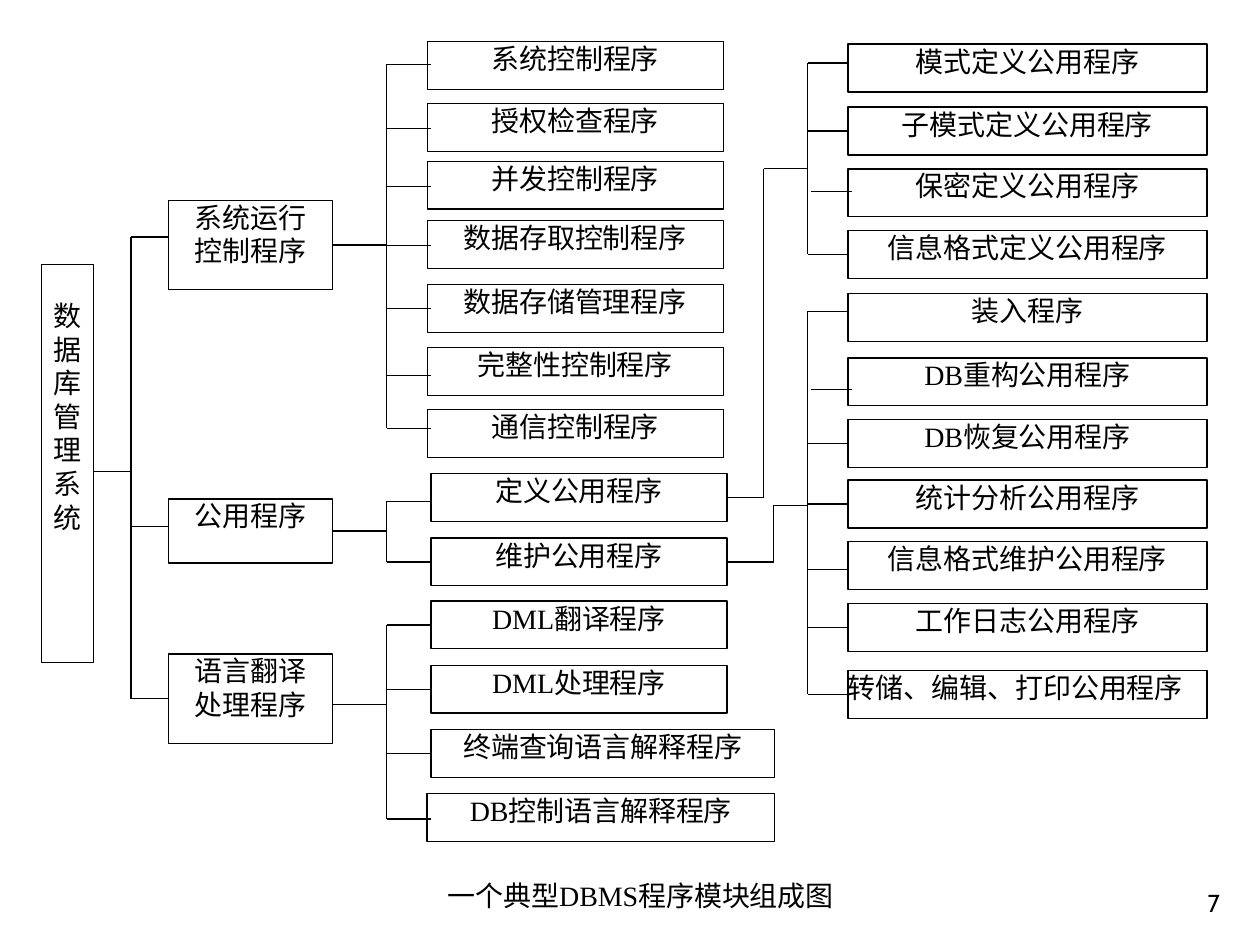
from lxml import etree
from pptx import Presentation
from pptx.dml.color import RGBColor
from pptx.enum.shapes import MSO_CONNECTOR, MSO_SHAPE
from pptx.enum.text import MSO_ANCHOR, PP_ALIGN
from pptx.oxml.ns import qn
from pptx.util import Inches, Pt

RECTANGLE, STRAIGHT = MSO_SHAPE.RECTANGLE, MSO_CONNECTOR.STRAIGHT
TOP, BOTTOM = MSO_ANCHOR.TOP, MSO_ANCHOR.BOTTOM
CENTER, RIGHT, JUSTIFY = PP_ALIGN.CENTER, PP_ALIGN.RIGHT, PP_ALIGN.JUSTIFY
LEFT_SIDE, RIGHT_SIDE = 1, 3

THEME = {
    "ink": RGBColor(0, 0, 0),
    "rule": Pt(0.75),
    "body": ("Times New Roman", Pt(16)),
    "folio": ("Cabin", Pt(14)),
}

deck = Presentation()
deck.slide_width, deck.slide_height = Inches(10), Inches(7.5)
COL, ROW = deck.slide_width // 1000, deck.slide_height // 750
NEAR = 2
slide = deck.slides.add_slide(deck.slide_layouts[6])
diagram = slide.shapes.add_group_shape().shapes


def write(holder, text, style="body", align=CENTER, anchor=TOP, inset=(0, 0)):
    frame = holder.text_frame
    frame.text = text
    frame.word_wrap = True
    frame.vertical_anchor = anchor
    frame.margin_left = frame.margin_right = inset[0] * COL
    frame.margin_top = frame.margin_bottom = inset[1] * ROW
    for paragraph in frame.paragraphs:
        paragraph.alignment = align
        for run in paragraph.runs:
            run.font.name, run.font.size = THEME[style]
            run.font.color.rgb = THEME["ink"]


def link(start_col, start_row, end_col, end_row, source=None, target=None):
    line = diagram.add_connector(STRAIGHT, int(start_col * COL), int(start_row * ROW),
                                 int(end_col * COL), int(end_row * ROW))
    line.line.color.rgb = THEME["ink"]
    line.line.width = THEME["rule"]
    etree.SubElement(line._element.spPr, qn("a:effectLst"))
    if source is not None:
        line.begin_connect(source, RIGHT_SIDE)
    if target is not None:
        line.end_connect(target, LEFT_SIDE)


levels = [
    ((33, 41, 316), [("数据库管理系统", 210)]),
    ((134, 130, 71), [("系统运行\n控制程序", 159), ("公用程序", 396), ("语言翻译\n处理程序", 519)]),
    ((339, 235, 38), [
        ("系统控制程序", 33), ("授权检查程序", 82), ("并发控制程序", 128),
        ("数据存取控制程序", 175), ("数据存储管理程序", 226),
        ("完整性控制程序", 276), ("通信控制程序", 325)]),
    ((342, 235, 38), [
        ("定义公用程序", 376), ("维护公用程序", 427), ("DML翻译程序", 477),
        ("DML处理程序", 528), ("终端查询语言解释程序", 579), ("DB控制语言解释程序", 630)]),
    ((673, 285, 38), [
        ("模式定义公用程序", 35), ("子模式定义公用程序", 85), ("保密定义公用程序", 134),
        ("信息格式定义公用程序", 183), ("装入程序", 233), ("DB重构公用程序", 284),
        ("DB恢复公用程序", 333), ("统计分析公用程序", 381), ("信息格式维护公用程序", 430),
        ("工作日志公用程序", 479), ("转储、编辑、打印公用程序", 532)]),
]
odd_sizes = {
    "公用程序": (134, 130, 51),
    "终端查询语言解释程序": (342, 273, 38),
    "DB控制语言解释程序": (339, 276, 38),
}

modules, places = {}, {}
for usual_size, entries in levels:
    for name, top in entries:
        left, width, height = odd_sizes.get(name, usual_size)
        module = diagram.add_shape(RECTANGLE, left * COL, top * ROW, width * COL, height * ROW)
        module.shadow.inherit = False
        module.fill.background()
        module.line.color.rgb = THEME["ink"]
        module.line.width = THEME["rule"]
        write(module, name, align=JUSTIFY if name.startswith("转储") else CENTER)
        modules[name] = module
        places[name] = (left, left + width, top + height / 2)
modules["数据库管理系统"].text_frame.margin_top = 27 * ROW

branches = [
    ("数据库管理系统", [(374, 104)], 104, 134, [
        ("系统运行\n控制程序", 188), ("公用程序", 418), ("语言翻译\n处理程序", 555)]),
    ("系统运行\n控制程序", [(195, 307)], 307, 342, [
        ("系统控制程序", 51), ("授权检查程序", 102), ("并发控制程序", 148),
        ("数据存取控制程序", 195), ("数据存储管理程序", 245),
        ("完整性控制程序", 298), ("通信控制程序", 340)]),
    ("公用程序", [(420, 307)], 307, 342, [("定义公用程序", 398), ("维护公用程序", 446)]),
    ("语言翻译\n处理程序", [(559, 307)], 307, 342, [
        ("DML翻译程序", 495), ("DML处理程序", 546),
        ("终端查询语言解释程序", 597), ("DB控制语言解释程序", 650)]),
    ("定义公用程序", [(395, 606), (134, 641)], 641, 673, [
        ("模式定义公用程序", 50), ("子模式定义公用程序", 103),
        ("保密定义公用程序", 152), ("信息格式定义公用程序", 200)]),
    ("维护公用程序", [(448, 614), (401, 641)], 641, 673, [
        ("装入程序", 247), ("DB重构公用程序", 309), ("DB恢复公用程序", 353),
        ("统计分析公用程序", 401), ("信息格式维护公用程序", 452),
        ("工作日志公用程序", 499), ("转储、编辑、打印公用程序", 549)]),
]
shifts = {"保密定义公用程序": 3, "DB重构公用程序": 3}

for parent, route, spine, reach, children in branches:
    _, col, middle = places[parent]
    row, bend = route[0]
    joined = abs(row - middle) <= NEAR
    row = middle if joined else row
    link(col, row, bend, row, source=modules[parent] if joined else None)
    for next_row, next_col in route[1:]:
        link(bend, row, bend, next_row)
        link(bend, next_row, next_col, next_row)

    stub_rows = []
    for child, row in children:
        left, _, middle = places[child]
        shift = shifts.get(child, 0)
        joined = reach + shift == left and abs(row - middle) <= NEAR
        row = middle if joined else row
        link(spine + shift, row, reach + shift, row, target=modules[child] if joined else None)
        stub_rows.append(row)
    link(spine, stub_rows[0], spine, stub_rows[-1])

caption = diagram.add_textbox(246 * COL, 697 * ROW, 525 * COL, 37 * ROW)
write(caption, "一个典型DBMS程序模块组成图")
folio = slide.shapes.add_textbox(770 * COL, 683 * ROW, 208 * COL, 50 * ROW)
write(folio, "7", "folio", RIGHT, BOTTOM, (10, 5))

deck.save("out.pptx")
